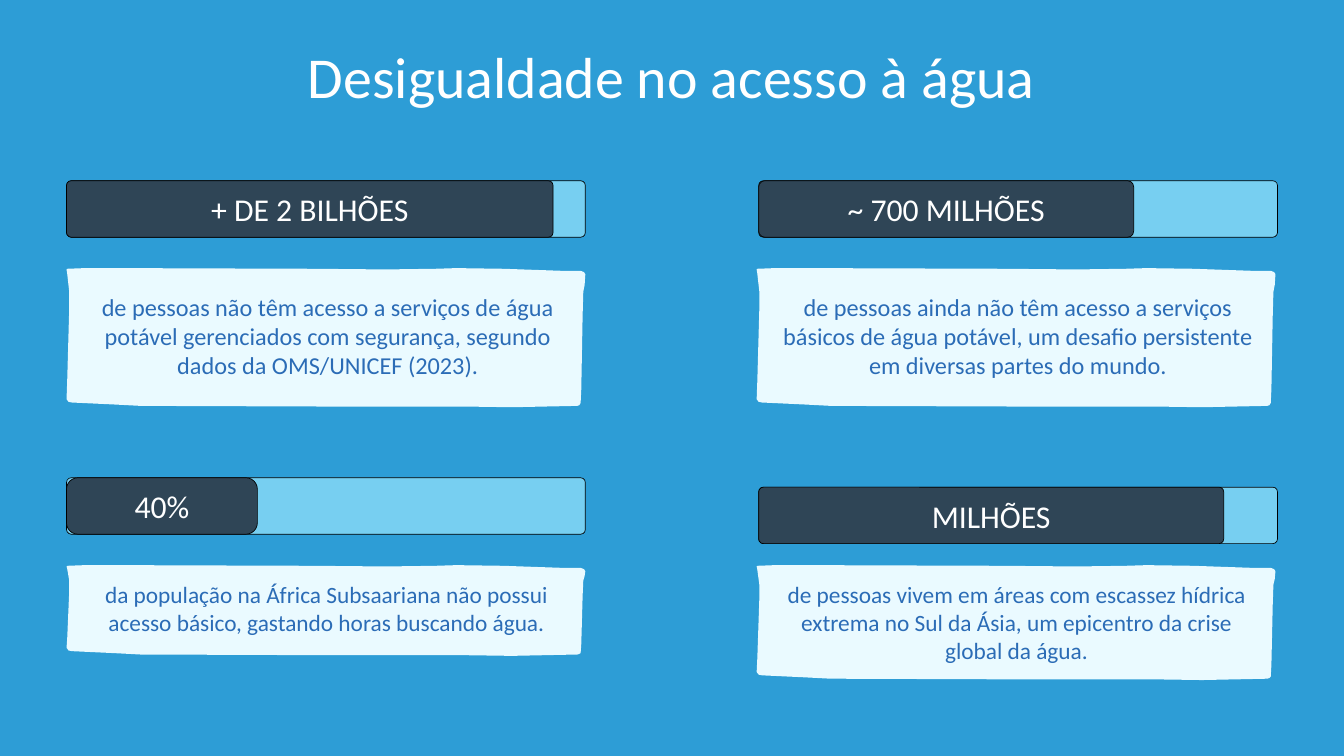
from pptx import Presentation
from pptx.dml.color import RGBColor
from pptx.enum.shapes import MSO_SHAPE
from pptx.enum.text import MSO_AUTO_SIZE, PP_ALIGN
from pptx.util import Inches, Pt

SKY = RGBColor(0x2D, 0x9D, 0xD6)
PAPER = RGBColor(0xEA, 0xFA, 0xFF)
TRACK = RGBColor(0x77, 0xCF, 0xF1)
SLATE = RGBColor(0x2F, 0x45, 0x56)
BLUE = RGBColor(0x2B, 0x6C, 0xB6)
WHITE = RGBColor(0xFF, 0xFF, 0xFF)
BLACK = RGBColor(0, 0, 0)

COL_W, BAR_H = 7.72, 0.84
BAR_COLS = (0.99, 11.29)
PAPER_COLS = (0.99, 11.26)
PAPER_ROWS = (3.99, 8.41)

TOP_EDGE = [(0, 0.02), (0.01, 0.01), (0.27, 0), (0.84, 0), (3.68, 0.01),
            (4.75, 0.02), (5.49, 0.01), (5.8, 0), (6.5, 0.01), (7.36, 0.04),
            (7.65, 0.04), (7.7, 0.06), (7.72, 0.09)]
RIGHT_EDGE = [(7.71, 0.12), (7.69, 0.17), (7.68, 0.34), (7.66, 0.87), (7.65, 0.97)]
BOTTOM_EDGE = [(7.63, 0.03), (7.6, 0.02), (6.63, 0), (5.91, 0.01), (3.86, 0.01),
               (1.1, 0.02), (0.72, 0.04), (0.08, 0.07), (0.03, 0.08), (0, 0.12)]
LEFT_EDGE = [(0.01, 0.81), (0.04, 0.29), (0.04, 0.17), (0.01, 0.04)]


def add_text(s, text, x, y, w, size, color, lines=1):
    spacing = size * 1.2
    box = s.shapes.add_textbox(Inches(x), Inches(y), Inches(w), Pt(spacing * lines))
    tf = box.text_frame
    tf.word_wrap = True
    tf.auto_size = MSO_AUTO_SIZE.SHAPE_TO_FIT_TEXT
    tf.margin_left = tf.margin_right = tf.margin_top = tf.margin_bottom = 0
    p = tf.paragraphs[0]
    p.alignment = PP_ALIGN.CENTER
    p.line_spacing = Pt(spacing)
    r = p.add_run()
    r.text = text
    r.font.name = "Calibri"
    r.font.size = Pt(size)
    r.font.color.rgb = color


def add_rounded(s, x, y, w, radius, color):
    sp = s.shapes.add_shape(MSO_SHAPE.ROUNDED_RECTANGLE,
                            Inches(x), Inches(y), Inches(w), Inches(BAR_H))
    sp.adjustments[0] = radius / BAR_H
    sp.shadow.inherit = False
    sp.fill.solid()
    sp.fill.fore_color.rgb = color
    sp.line.color.rgb = BLACK
    sp.line.width = Pt(0.75)


def add_bar(s, col, y, fill_w, radius, label, label_share):
    x = BAR_COLS[col]
    add_rounded(s, x, y, COL_W, 0.07, TRACK)
    add_rounded(s, x, y, fill_w, radius, SLATE)
    label_w = fill_w * label_share
    add_text(s, label, x + (fill_w - label_w) / 2, y + 0.14, label_w, 34, WHITE)


def add_paper(s, x, y, h):
    outline = (TOP_EDGE + [(px, share * h) for px, share in RIGHT_EDGE]
               + [(px, h - up) for px, up in BOTTOM_EDGE]
               + [(px, share * h) for px, share in LEFT_EDGE])
    points = [(Inches(x + px), Inches(y + py)) for px, py in outline]
    builder = s.shapes.build_freeform(*points[0], scale=1.0)
    builder.add_line_segments(points[1:], close=True)
    sp = builder.convert_to_shape()
    sp.shadow.inherit = False
    sp.fill.solid()
    sp.fill.fore_color.rgb = PAPER
    sp.line.fill.background()


def add_note(s, col, row, h, text, lines):
    x, y = PAPER_COLS[col], PAPER_ROWS[row]
    pad, w, size = ((0.36, 7.26, 26), (0.23, 7.21, 25))[row]
    add_paper(s, x, y, h)
    add_text(s, text, x + 0.26, y + pad, w, size, BLUE, lines)


def main():
    prs = Presentation()
    prs.slide_width, prs.slide_height = Inches(20), Inches(11.25)
    s = prs.slides.add_slide(prs.slide_layouts[6])
    s.background.fill.solid()
    s.background.fill.fore_color.rgb = SKY

    add_text(s, "Desigualdade no acesso à água", 2.46, 0.61, 15.07, 62, WHITE)

    add_note(s, 0, 0, 2.07, "de pessoas não têm acesso a serviços de água potável "
             "gerenciados com segurança, segundo dados da OMS/UNICEF (2023).", 3)
    add_note(s, 1, 0, 2.07, "de pessoas ainda não têm acesso a serviços básicos de água "
             "potável, um desafio persistente em diversas partes do mundo.", 3)
    add_note(s, 0, 1, 1.35, "da população na África Subsaariana não possui acesso "
             "básico, gastando horas buscando água.", 2)
    add_note(s, 1, 1, 1.71, "de pessoas vivem em áreas com escassez hídrica extrema no "
             "Sul da Ásia, um epicentro da crise global da água.", 3)

    add_bar(s, 0, 2.69, 7.24, 0.07, "+ DE 2 BILHÕES", 0.87)
    add_bar(s, 1, 2.69, 5.58, 0.09, "~ 700 MILHÕES", 0.91)
    add_bar(s, 0, 7.11, 2.84, 0.17, "40%", 0.66)
    add_bar(s, 1, 7.25, 6.92, 0.07, "MILHÕES", 0.34)

    prs.save("out.pptx")


if __name__ == "__main__":
    main()
